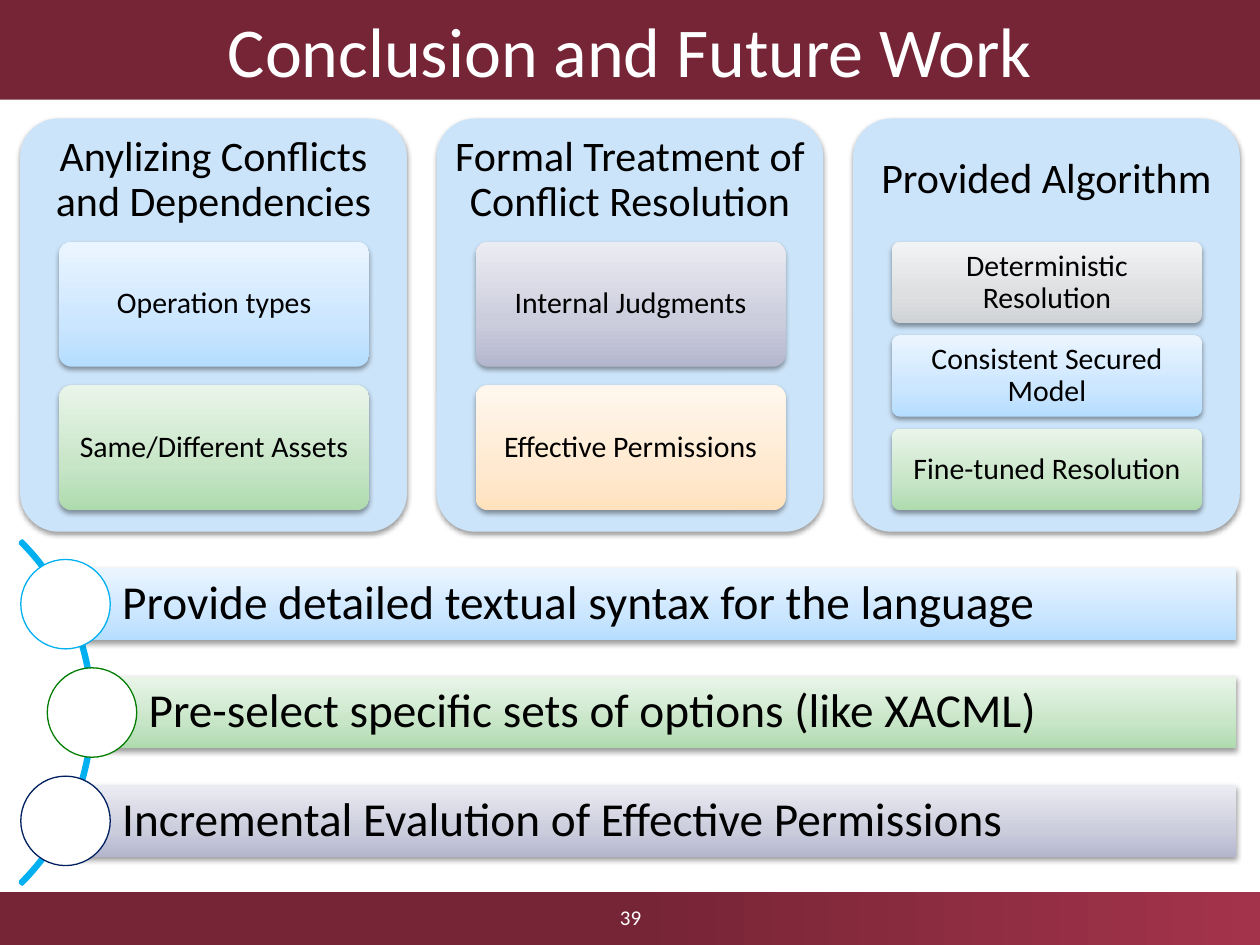
from dataclasses import dataclass

import pptx
import pptx.dml.color
import pptx.enum.shapes
import pptx.enum.text
import pptx.util
from lxml import etree
from pptx.util import Inches

SHAPE = pptx.enum.shapes.MSO_SHAPE
ALIGN = pptx.enum.text.PP_ALIGN
MIDDLE = pptx.enum.text.MSO_ANCHOR.MIDDLE
A = "{http://schemas.openxmlformats.org/drawingml/2006/main}"

FONT = "Calibri"
MAROON = "762536"
WHITE = "FFFFFF"
BLACK = "000000"
SKY = "00B0F0"
CARD_FILL = "CCE4F9"

# Gradient stops as (percent, colour)
BLUE = [(0, "B5DDFF"), (35, "CBE6FF"), (100, "EBF5FF")]
GREEN = [(0, "AEDBAE"), (35, "C7E5C7"), (100, "E9F5E9")]
VIOLET = [(0, "B4B6CE"), (35, "CBCCDC"), (100, "EBECF2")]
ORANGE = [(0, "FFE2BD"), (35, "FFEAD1"), (100, "FFF7EE")]
GREY = [(0, "D0D3D6"), (35, "DDDFE1"), (100, "F2F3F4")]
FOOTER = [(0, MAROON), (50, MAROON), (100, "A3334B")]


@dataclass
class Tile:
    text: str
    stops: list


@dataclass
class Card:
    title: str
    tiles: list


@dataclass
class Step:
    text: str
    left: float
    stops: list
    ring: str


CARDS = [
    Card("Anylizing Conflicts and Dependencies",
         [Tile("Operation types", BLUE), Tile("Same/Different Assets", GREEN)]),
    Card("Formal Treatment of Conflict Resolution",
         [Tile("Internal Judgments", VIOLET), Tile("Effective Permissions", ORANGE)]),
    Card("Provided Algorithm",
         [Tile("Deterministic Resolution", GREY), Tile("Consistent Secured Model", BLUE),
          Tile("Fine-tuned Resolution", GREEN)]),
]
STEPS = [
    Step("Provide detailed textual syntax for the language", 0.52, BLUE, SKY),
    Step("Pre-select specific sets of options (like XACML)", 0.73, GREEN, "007D00"),
    Step("Incremental Evalution of Effective Permissions", 0.52, VIOLET, "002060"),
]


def rgb(value: str) -> pptx.dml.color.RGBColor:
    return pptx.dml.color.RGBColor.from_string(value)


def set_gradient(shape, stops: list, angle: int) -> None:
    shape.fill.gradient()
    shape.fill.gradient_angle = angle
    stop_list = shape._element.spPr.find(f"{A}gradFill/{A}gsLst")
    for stop in list(stop_list):
        stop_list.remove(stop)
    for percent, color in stops:
        stop = etree.SubElement(stop_list, f"{A}gs", pos=str(percent * 1000))
        etree.SubElement(stop, f"{A}srgbClr", val=color)


def add_shadow(shape) -> None:
    effects = shape._element.spPr.find(f"{A}effectLst")
    shadow = etree.SubElement(
        effects, f"{A}outerShdw", blurRad=str(pptx.util.Pt(3.1)),
        dist=str(pptx.util.Pt(1.6)), dir="5400000", rotWithShape="0")
    color = etree.SubElement(shadow, f"{A}srgbClr", val=BLACK)
    etree.SubElement(color, f"{A}alpha", val="38000")


def draw_shape(page, kind, box: tuple, fill=None, line: str = "", width: float = 0.75,
               angle: int = 90, shadow: bool = False):
    """Draw a preset shape; fill is a hex colour, a list of stops or None."""
    shape = page.shapes.add_shape(kind, *map(Inches, box))
    shape.shadow.inherit = False
    if fill is None:
        shape.fill.background()
    elif isinstance(fill, str):
        shape.fill.solid()
        shape.fill.fore_color.rgb = rgb(fill)
    else:
        set_gradient(shape, fill, angle)
    if line:
        shape.line.color.rgb = rgb(line)
        shape.line.width = pptx.util.Pt(width)
    else:
        shape.line.fill.background()
    if shadow:
        add_shadow(shape)
    return shape


def write(shape, text: str, size: float, color: str = BLACK, align=ALIGN.CENTER,
          spacing: float = 0.9, margins: tuple = (0.08, 0.06, 0.08, 0.06)) -> None:
    left, top, right, bottom = map(Inches, margins)
    frame = shape.text_frame
    para = frame.paragraphs[0]
    span = para.add_run()
    span.text = text
    formats = [
        (frame, {"word_wrap": True, "vertical_anchor": MIDDLE, "margin_left": left,
                 "margin_top": top, "margin_right": right, "margin_bottom": bottom}),
        (para, {"alignment": align, "line_spacing": spacing}),
        (span.font, {"name": FONT, "size": pptx.util.Pt(size)}),
        (span.font.color, {"rgb": rgb(color)}),
    ]
    for target, values in formats:
        for name, value in values.items():
            setattr(target, name, value)


def draw_card(page, card: Card, left: float) -> None:
    width, top, title_height = 3.07, 0.94, 0.98
    draw_shape(page, SHAPE.ROUNDED_RECTANGLE, (left, top, width, 3.28), CARD_FILL,
               shadow=True).adjustments[0] = 0.1
    title = page.shapes.add_textbox(*map(Inches, (left, top, width, title_height)))
    write(title, card.title, 24, margins=(0.1,) * 4)

    # Tiles share a fixed stack height; each gap is a fixed part of a tile
    count, gap_ratio, stack = len(card.tiles), 0.15, 2.13
    height = stack / (count + gap_ratio * (count - 1))
    for index, tile in enumerate(card.tiles):
        y = top + title_height + index * height * (1 + gap_ratio)
        shape = draw_shape(page, SHAPE.ROUNDED_RECTANGLE,
                           (left + 0.31, y, 2.46, height), tile.stops, shadow=True)
        shape.adjustments[0] = 0.1
        write(shape, tile.text, 17)


def draw_step(page, step: Step, top: float) -> None:
    right, height, diameter = 9.81, 0.57, 0.71
    bar = draw_shape(page, SHAPE.RECTANGLE, (step.left, top, right - step.left, height),
                     step.stops, shadow=True)
    write(bar, step.text, 27, align=ALIGN.LEFT, margins=(0.45, 0.07, 0.07, 0.07))
    draw_shape(page, SHAPE.OVAL,
               (step.left - diameter / 2, top + (height - diameter) / 2, diameter, diameter),
               WHITE, step.ring)


def main() -> None:
    deck = pptx.Presentation()
    deck.slide_width, deck.slide_height = Inches(10), Inches(7.5)
    page = deck.slides.add_slide(deck.slide_layouts[6])

    # Footer and title bands
    draw_shape(page, SHAPE.RECTANGLE, (0, 7.08, 10, 0.42), FOOTER, angle=0)
    title = draw_shape(page, SHAPE.RECTANGLE, (0, 0, 10, 0.79), MAROON)
    write(title, "Conclusion and Future Work", 40, WHITE, spacing=1.0)

    # Conclusion cards
    for index, card in enumerate(CARDS):
        draw_card(page, card, 0.16 + index * 3.305)

    # Page number
    number = page.shapes.add_textbox(*map(Inches, (3.88, 7.08, 2.25, 0.4)))
    write(number, "39", 12, WHITE, spacing=1.0)

    # Future work steps along an arc from 315 to 45 degrees
    arc = draw_shape(page, SHAPE.BLOCK_ARC, (-3.11, 3.73, 3.85, 3.85), line=SKY, width=2)
    for index, value in enumerate((189, 27, 0.006)):
        arc.adjustments[index] = value
    for index, step in enumerate(STEPS):
        draw_step(page, step, 4.51 + index * 0.86)

    deck.save("out.pptx")


if __name__ == "__main__":
    main()
